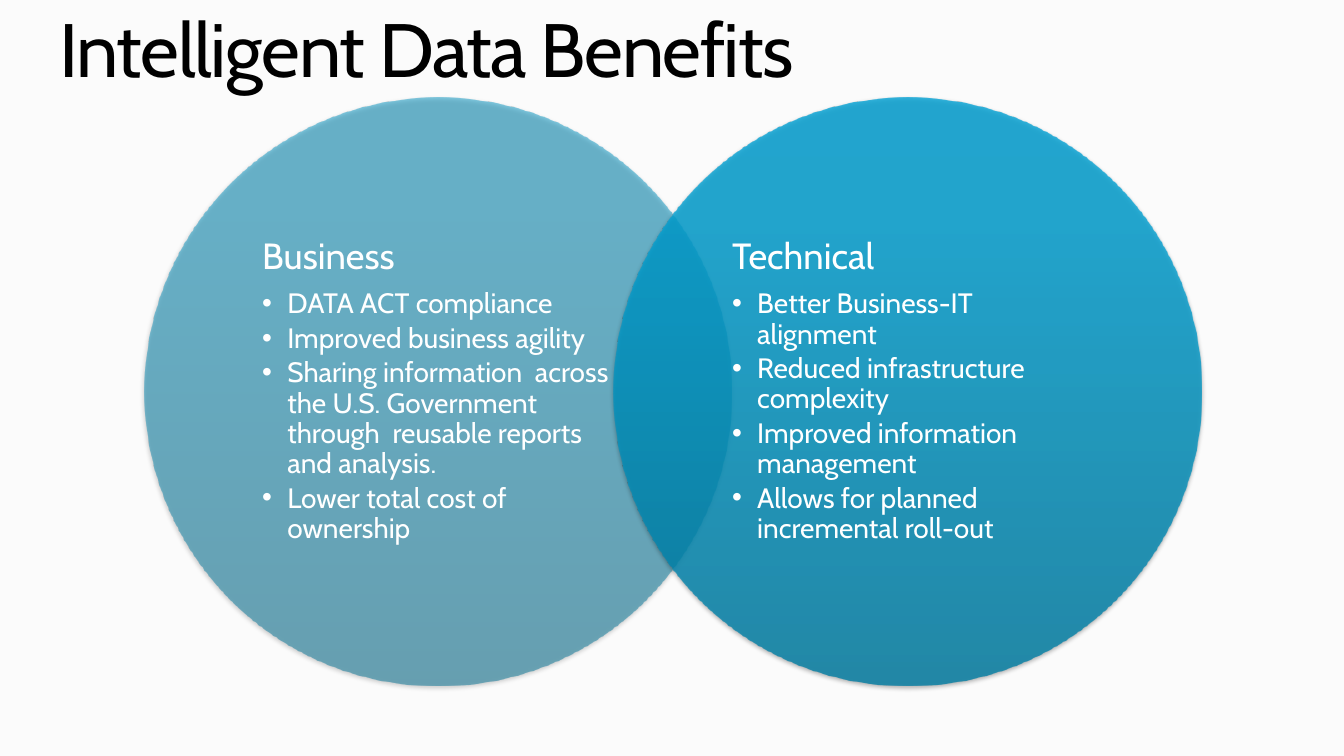
from lxml.etree import SubElement
from pptx import Presentation
from pptx.dml.color import RGBColor
from pptx.enum.shapes import MSO_SHAPE
from pptx.enum.text import MSO_ANCHOR, MSO_AUTO_SIZE, PP_ALIGN
from pptx.oxml.ns import qn
from pptx.util import Inches, Pt

FONT = "Cabin"
BACKGROUND = RGBColor(0xFB, 0xFB, 0xFB)
BLACK = RGBColor(0x00, 0x00, 0x00)
WHITE = RGBColor(0xFF, 0xFF, 0xFF)
BUSINESS_STOPS = [(0, RGBColor(0x00, 0x70, 0x93)), (80, RGBColor(0x00, 0x91, 0xBF)),
                  (100, RGBColor(0x00, 0x92, 0xC0))]
TECHNICAL_STOPS = [(0, RGBColor(0x00, 0x7C, 0xA2)), (80, RGBColor(0x00, 0xA1, 0xD3)),
                   (100, RGBColor(0x00, 0xA1, 0xD4))]

CIRCLE_TOP, CIRCLE_SIZE = 0.97, 5.83
TEXT_SIZE = 4.12
TEXT_OFFSET = 0.85

CIRCLES = [
    (1.43, BUSINESS_STOPS, 50, "Business", [
        "DATA ACT compliance",
        "Improved business agility",
        "Sharing information  across the U.S. Government through  reusable reports and analysis.",
        "Lower total cost of ownership"]),
    (6.09, TECHNICAL_STOPS, 80, "Technical", [
        "Better Business-IT alignment",
        "Reduced infrastructure complexity",
        "Improved information management",
        "Allows for planned incremental roll-out"]),
]


def add_color(parent, color, opacity):
    """Add a colour with an opacity in percent to an XML element."""
    clr = SubElement(parent, qn("a:srgbClr"), val=str(color))
    SubElement(clr, qn("a:alpha"), val=str(opacity * 1000))


def format_paragraph(p, size, color, space_after=0):
    p.line_spacing = 0.9
    p.space_before = Pt(0)
    p.space_after = Pt(space_after)
    p.alignment = PP_ALIGN.LEFT
    for r in p.runs:
        r.font.name = FONT
        r.font.size = Pt(size)
        r.font.color.rgb = color


prs = Presentation()
prs.slide_width = Inches(13.33)
prs.slide_height = Inches(7.5)
s = prs.slides.add_slide(prs.slide_layouts.get_by_name("Two Content"))
s.background.fill.solid()
s.background.fill.fore_color.rgb = BACKGROUND

title, *bodies = s.placeholders
title.left, title.top = Inches(0.59), Inches(0.12)
title.width, title.height = Inches(12.19), Inches(2.82)
tf = title.text_frame
tf.text = "Intelligent Data Benefits"
tf.auto_size = MSO_AUTO_SIZE.NONE
tf.vertical_anchor = MSO_ANCHOR.TOP
tf.margin_left = tf.margin_right = tf.margin_top = tf.margin_bottom = 0
format_paragraph(tf.paragraphs[0], 54, BLACK)
tf.paragraphs[0].runs[0].font._element.set("spc", "-100")

for body, (left, stops, opacity, heading, benefits) in zip(bodies, CIRCLES):
    circle = s.shapes.add_shape(MSO_SHAPE.OVAL, Inches(left), Inches(CIRCLE_TOP),
                                Inches(CIRCLE_SIZE), Inches(CIRCLE_SIZE))
    circle.line.fill.background()
    circle.fill.gradient()
    circle.fill.gradient_angle = 90
    sp_pr = circle._element.spPr
    stop_list = sp_pr.find(qn("a:gradFill")).find(qn("a:gsLst"))
    for stop in list(stop_list):
        stop_list.remove(stop)
    for position, color in stops:
        stop = SubElement(stop_list, qn("a:gs"), pos=str(position * 1000))
        add_color(stop, color, opacity)
    circle.shadow.inherit = False
    shadow = SubElement(sp_pr.find(qn("a:effectLst")), qn("a:outerShdw"),
                        blurRad=str(Pt(3.1)), dist=str(Pt(1.8)), dir="5400000",
                        rotWithShape="0")
    add_color(shadow, BLACK, 35)

    # Each list lies directly above its own circle
    s.shapes._spTree.append(body._element)
    body.left = Inches(left + TEXT_OFFSET)
    body.top = Inches(CIRCLE_TOP + TEXT_OFFSET)
    body.width = body.height = Inches(TEXT_SIZE)
    tf = body.text_frame
    tf.auto_size = MSO_AUTO_SIZE.NONE
    tf.vertical_anchor = MSO_ANCHOR.MIDDLE
    tf.margin_left = tf.margin_right = Inches(0.32)
    tf.margin_top = tf.margin_bottom = Inches(0.04)

    tf.text = heading
    p = tf.paragraphs[0]
    format_paragraph(p, 26, WHITE, 9)
    p_pr = p._p.get_or_add_pPr()
    p_pr.set("marL", "0")
    p_pr.set("indent", "0")
    SubElement(p_pr, qn("a:buNone"))
    for benefit in benefits:
        p = tf.add_paragraph()
        p.text = benefit
        p.level = 1
        format_paragraph(p, 20, WHITE, 3)
        p_pr = p._p.get_or_add_pPr()
        p_pr.set("marL", str(Inches(0.25)))
        p_pr.set("indent", str(Inches(-0.25)))
        SubElement(p_pr, qn("a:buChar"), char="•")

prs.save("out.pptx")
